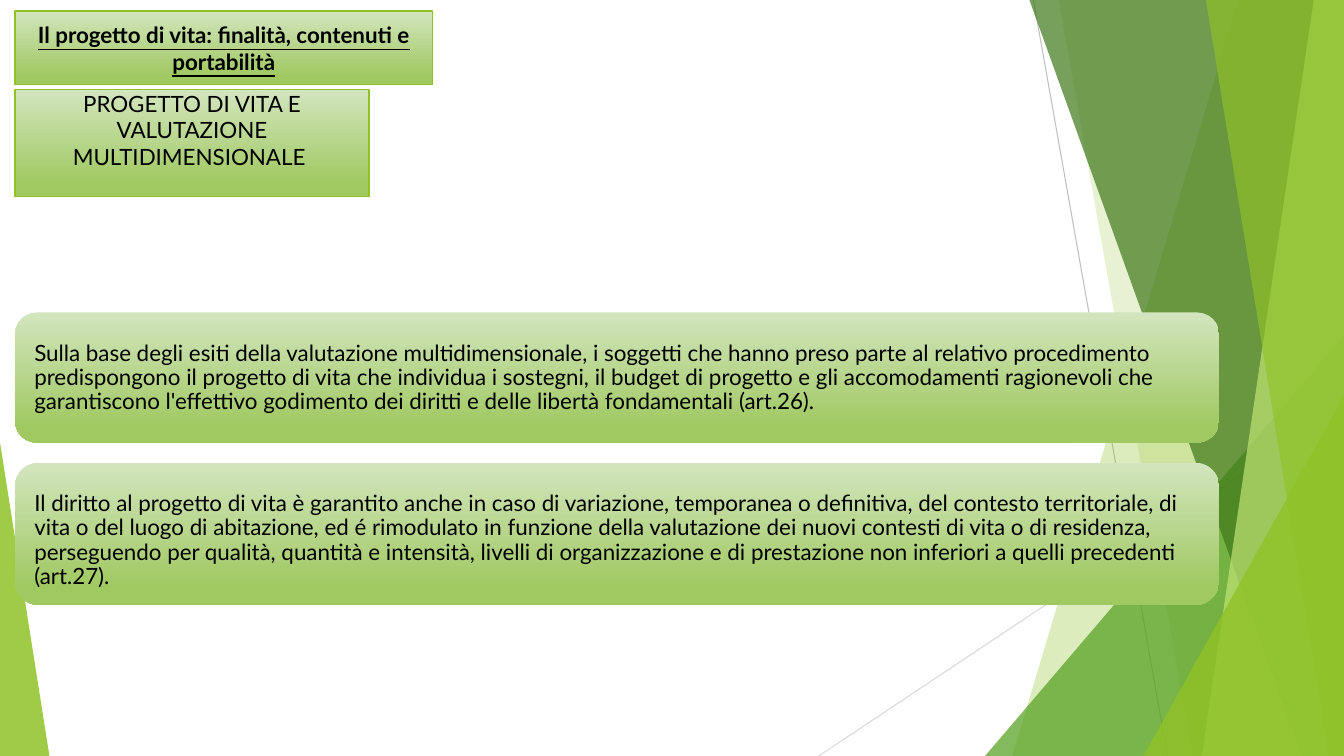
import pptx
import pptx.util
import pptx.dml.color
import pptx.enum.shapes
import pptx.enum.text
import pptx.oxml
import pptx.oxml.ns

Inches = pptx.util.Inches
Kind = pptx.enum.shapes.MSO_SHAPE
Align = pptx.enum.text.PP_ALIGN
Anchor = pptx.enum.text.MSO_ANCHOR
WIDE, HIGH = 13.33, 7.5


def paint(color, code):
    color.rgb = pptx.dml.color.RGBColor.from_string(code)


def child(node, tag, **attrs):
    """Append an empty drawing element to node."""
    item = pptx.oxml.parse_xml(f"<a:{tag} {pptx.oxml.ns.nsdecls('a')}/>")
    for name, value in attrs.items():
        item.set(name, value)
    node.append(item)


class Deck:
    font = "Lato"
    size = 16
    ink = "000000"
    green = "90C226"
    fade = ((0, "D3E5BE"), (0.88, "A0C962"))

    def __init__(self):
        self.prs = pptx.Presentation()
        self.prs.slide_width = Inches(WIDE)
        self.prs.slide_height = Inches(HIGH)
        self.slide = self.prs.slides.add_slide(self.prs.slide_layouts[5])
        self.shapes = self.slide.shapes

    def line(self, start, end, code):
        straight = pptx.enum.shapes.MSO_CONNECTOR.STRAIGHT
        rule = self.shapes.add_connector(straight, *map(Inches, start + end))
        paint(rule.line.color, code)
        rule.line.width = pptx.util.Pt(0.75)
        child(rule.element.spPr, "effectLst")

    def tint(self, shape, code, alpha):
        """Give a flat, partly clear fill with no outline."""
        shape.shadow.inherit = False
        shape.line.fill.background()
        shape.fill.solid()
        paint(shape.fill.fore_color, code)
        solid = shape.element.spPr.find(pptx.oxml.ns.qn("a:solidFill"))
        child(solid[0], "alpha", val=str(alpha * 1000))

    def band(self, top, foot, code, alpha):
        """Draw a full-height band from a slanted left side to the right edge."""
        form = self.shapes.build_freeform(Inches(top), 0)
        spots = ((WIDE, 0), (WIDE, HIGH), (foot, HIGH))
        form.add_line_segments([(Inches(x), Inches(y)) for x, y in spots])
        self.tint(form.convert_to_shape(), code, alpha)

    def wedge(self, left, top, width, peak, code, alpha):
        """Draw a triangle that stands on the bottom edge."""
        box = map(Inches, (left, top, width, HIGH - top))
        shape = self.shapes.add_shape(Kind.ISOSCELES_TRIANGLE, *box)
        shape.adjustments[0] = peak
        self.tint(shape, code, alpha)

    def blend(self, shape, edge):
        """Fill with the light-to-dark green fade."""
        shape.fill.gradient()
        shape.fill.gradient_angle = 270
        for stop, (spot, code) in zip(shape.fill.gradient_stops, self.fade):
            stop.position = spot
            paint(stop.color, code)
        if edge:
            paint(shape.line.color, self.green)
            shape.line.width = pptx.util.Pt(1)
        else:
            shape.line.fill.background()

    def letter(self, shape, text, align, anchor=Anchor.MIDDLE, strong=False):
        """Set the text of a shape and return its frame."""
        frame = shape.text_frame
        frame.auto_size = pptx.enum.text.MSO_AUTO_SIZE.NONE
        frame.word_wrap = True
        frame.vertical_anchor = anchor
        para = frame.paragraphs[0]
        para.alignment = align
        run = para.add_run()
        run.text = text
        run.font.name = self.font
        run.font.size = pptx.util.Pt(self.size)
        run.font.bold = run.font.underline = strong
        paint(run.font.color, self.ink)
        return frame

    def title(self, box, text):
        head = self.shapes.title
        head.left, head.top, head.width, head.height = map(Inches, box)
        self.blend(head, True)
        self.letter(head, text, Align.CENTER, strong=True)

    def label(self, box, text):
        shape = self.shapes.add_shape(Kind.RECTANGLE, *map(Inches, box))
        shape.shadow.inherit = False
        self.blend(shape, True)
        frame = self.letter(shape, text, Align.CENTER, Anchor.TOP)
        frame.margin_top = 0

    def card(self, top, height, start, depth, text):
        """Draw a rounded panel with its text from start, depth high."""
        box = map(Inches, (0.15, top, 11.94, height))
        panel = self.shapes.add_shape(Kind.ROUNDED_RECTANGLE, *box)
        panel.shadow.inherit = False
        self.blend(panel, False)
        area = map(Inches, (0.27, start, 11.69, depth))
        frame = self.letter(self.shapes.add_textbox(*area), text, Align.LEFT)
        frame.margin_left = frame.margin_right = Inches(0.07)
        frame.margin_top = frame.margin_bottom = Inches(0.07)
        frame.paragraphs[0].line_spacing = 0.9


def main():
    deck = Deck()
    green = deck.green

    deck.line((10.25, 0), (11.58, HIGH), "BFBFBF")
    deck.line((WIDE, 4.03), (8.12, HIGH), "D9D9D9")
    deck.band(12.28, 10.04, green, 30)
    deck.band(10.5, 11.83, green, 20)
    deck.wedge(9.77, 3.33, 3.56, 1, "54A021", 72)
    deck.band(10.21, 12.91, "3F7819", 70)
    deck.band(13.03, 11.92, "C0E474", 70)
    deck.band(11.96, 13.18, green, 65)
    deck.wedge(11.34, 3.93, 1.99, 1, green, 80)
    deck.wedge(0, 4.39, 0.49, 0, green, 85)

    deck.title((0.15, 0.11, 4.14, 0.73),
               "Il progetto di vita: finalità, contenuti e portabilità")
    deck.label((0.15, 0.89, 3.51, 1.06),
               "PROGETTO DI VITA E VALUTAZIONE MULTIDIMENSIONALE ")
    deck.card(3.1, 1.29, 3.17, 1.17, (
        "Sulla base degli esiti della valutazione multidimensionale, "
        "i soggetti che hanno preso parte al relativo procedimento "
        "predispongono il progetto di vita che individua i sostegni, "
        "il budget di progetto e gli accomodamenti ragionevoli che "
        "garantiscono l'effettivo godimento dei diritti e delle libertà "
        "fondamentali (art.26)."))
    deck.card(4.59, 1.41, 4.73, 1.27, (
        "Il diritto al progetto di vita è garantito anche in caso di "
        "variazione, temporanea o definitiva, del contesto territoriale, "
        "di vita o del luogo di abitazione, ed é rimodulato in funzione "
        "della valutazione dei nuovi contesti di vita o di residenza, "
        "perseguendo per qualità, quantità e intensità, livelli di "
        "organizzazione e di prestazione non inferiori a quelli "
        "precedenti (art.27)."))

    deck.prs.save("out.pptx")


if __name__ == "__main__":
    main()
